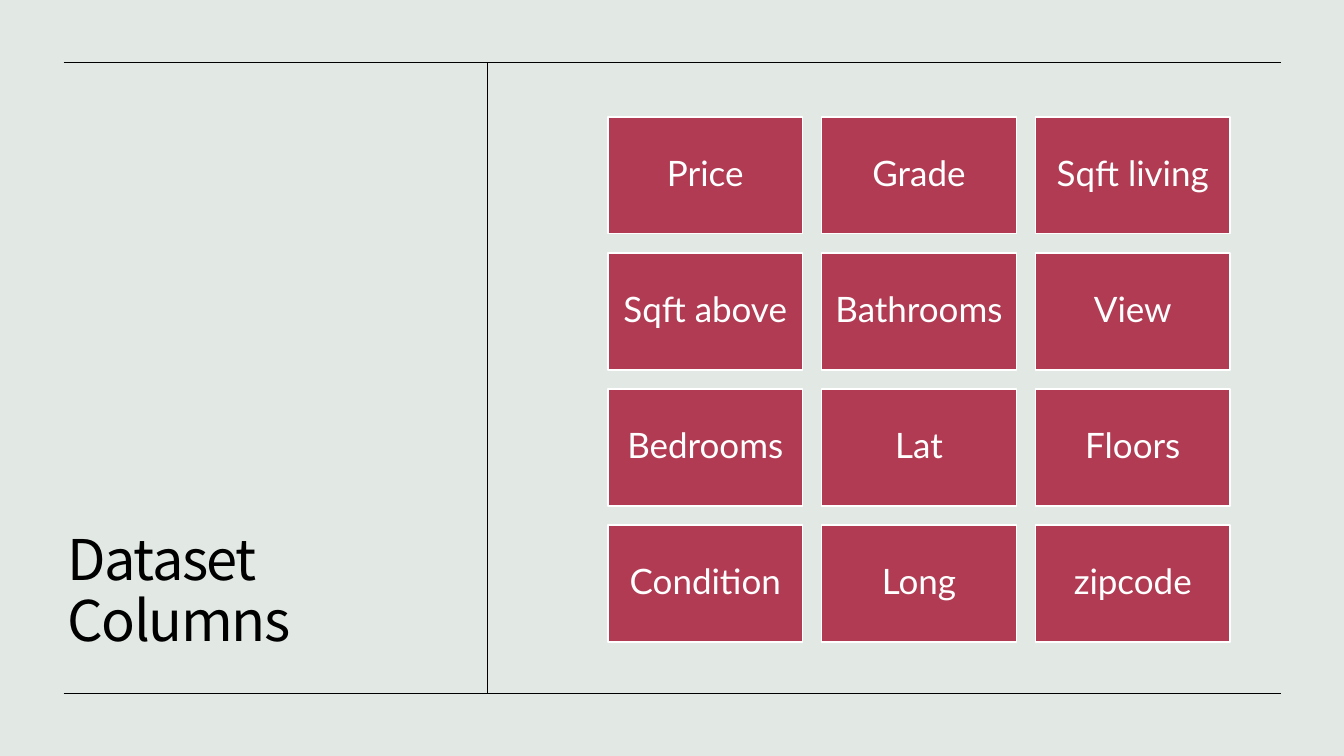
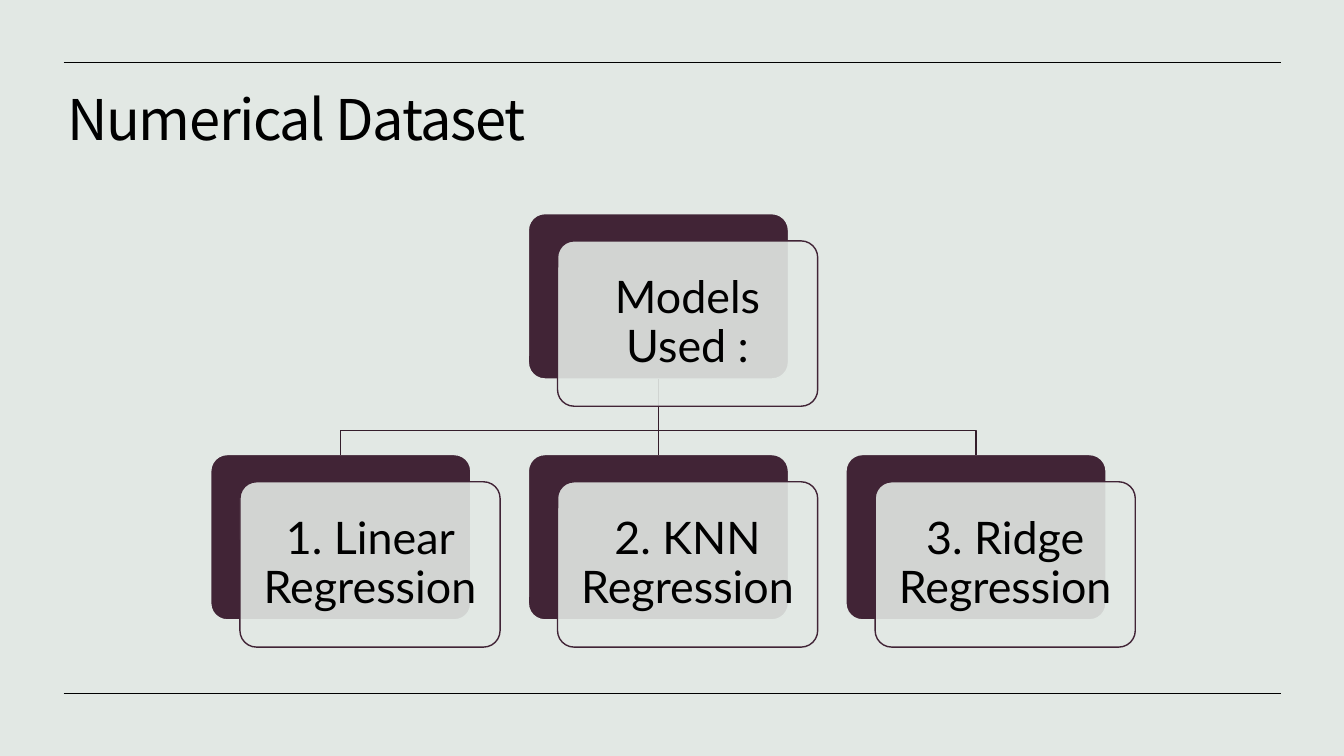
import dataclasses
import typing

import lxml.etree
import pptx
import pptx.dml.color
import pptx.enum.shapes
import pptx.enum.text
import pptx.oxml.ns
import pptx.util

Inches = pptx.util.Inches
Pt = pptx.util.Pt
Shapes = pptx.enum.shapes.MSO_SHAPE
Anchor = pptx.enum.text.MSO_ANCHOR
Align = pptx.enum.text.PP_ALIGN
qn = pptx.oxml.ns.qn


@dataclasses.dataclass(frozen=True)
class Theme:
    background: str = "E2E8E4"
    ink: str = "000000"
    white: str = "FFFFFF"
    tile: str = "B13B53"
    card: str = "412436"
    branch: str = "341D2B"
    title_font: str = "Noto Sans CJK KR"
    body_font: str = "Lato"
    title_size: float = 40
    tile_size: float = 25
    card_size: float = 32
    rule_width: float = 0.5
    outline_width: float = 1
    left: float = 0.63
    right: float = 12.71
    top: float = 0.62
    bottom: float = 6.88


class Box(typing.NamedTuple):
    left: float
    top: float
    width: float
    height: float

    def shifted(self, across: float, down: float) -> "Box":
        return Box(self.left + across, self.top + down, self.width, self.height)

    def lengths(self) -> list:
        return [Inches(value) for value in self]


class TextStyle(typing.NamedTuple):
    font: str
    size: float
    color: str
    anchor: int
    align: int
    inset: float = 0.1
    spacing: float = 0


class BoxStyle(typing.NamedTuple):
    preset: int
    fill: str
    line: str
    opacity: int = 100


class Model(typing.NamedTuple):
    label: str
    box: Box


THEME = Theme()
TITLE_LOW = TextStyle(THEME.title_font, THEME.title_size, THEME.ink,
                      Anchor.BOTTOM, Align.LEFT, spacing=-1)
TITLE_HIGH = TITLE_LOW._replace(anchor=Anchor.TOP)
TILE_TEXT = TextStyle(THEME.body_font, THEME.tile_size, THEME.white,
                      Anchor.MIDDLE, Align.CENTER)
CARD_TEXT = TextStyle(THEME.body_font, THEME.card_size, THEME.ink,
                      Anchor.MIDDLE, Align.CENTER, inset=0.18)
TILE = BoxStyle(Shapes.RECTANGLE, THEME.tile, THEME.white)
CARD_BACK = BoxStyle(Shapes.ROUNDED_RECTANGLE, THEME.card, THEME.background)
CARD_FRONT = BoxStyle(Shapes.ROUNDED_RECTANGLE, THEME.background, THEME.card, 90)

COLUMNS = (
    ("Price", "Grade", "Sqft living"),
    ("Sqft above", "Bathrooms", "View"),
    ("Bedrooms", "Lat", "Floors"),
    ("Condition", "Long", "zipcode"),
)
FIRST_TILE = Box(6.03, 1.16, 1.93, 1.16)
TILE_PITCH = (2.12, 1.35)

ROOT = Model("Models Used :", Box(5.24, 2.12, 2.58, 1.64))
FIRST_CARD = Box(2.09, 4.51, 2.58, 1.64)
CARD_PITCH = 3.15
FRONT_OFFSET = (0.29, 0.27)
BRANCH_HEIGHT = 4.27
MODELS = [
    Model(label, FIRST_CARD.shifted(index * CARD_PITCH, 0))
    for index, label in enumerate(
        ("1. Linear Regression", "2. KNN Regression", "3. Ridge Regression"))
]


def rgb(color: str) -> pptx.dml.color.RGBColor:
    return pptx.dml.color.RGBColor.from_string(color)


def apply_format(target, values: dict) -> None:
    for name, value in values.items():
        setattr(target, name, value)


def format_line(line, color: str, width: float) -> None:
    line.color.rgb = rgb(color)
    line.width = Pt(width)


def write_text(shape, text: str, style: TextStyle) -> None:
    frame = shape.text_frame
    margins = ("margin_left", "margin_right")
    if style.inset != 0.1 or style.anchor == Anchor.MIDDLE:
        margins += ("margin_top", "margin_bottom")
    apply_format(frame, {
        "word_wrap": True,
        "vertical_anchor": style.anchor,
        **dict.fromkeys(margins, Inches(style.inset)),
    })
    paragraph = frame.paragraphs[0]
    apply_format(paragraph, {"alignment": style.align, "line_spacing": 0.9})
    run = paragraph.add_run()
    run.text = text
    apply_format(run.font, {"name": style.font, "size": Pt(style.size)})
    run.font.color.rgb = rgb(style.color)
    if style.spacing:
        run._r.get_or_add_rPr().set("spc", str(int(style.spacing * 100)))


def add_title(slide, text: str, box: Box, style: TextStyle) -> None:
    write_text(slide.shapes.add_textbox(*box.lengths()), text, style)


def add_box(slide, box: Box, style: BoxStyle):
    shape = slide.shapes.add_shape(style.preset, *box.lengths())
    shape.shadow.inherit = False
    shape.fill.solid()
    shape.fill.fore_color.rgb = rgb(style.fill)
    format_line(shape.line, style.line, THEME.outline_width)
    if style.preset == Shapes.ROUNDED_RECTANGLE:
        shape.adjustments[0] = 0.1
    if style.opacity < 100:
        color = shape._element.spPr.find(qn("a:solidFill")).find(qn("a:srgbClr"))
        alpha = lxml.etree.SubElement(color, qn("a:alpha"))
        alpha.set("val", str(style.opacity * 1000))
    return shape


def add_line(slide, start: tuple, end: tuple, color: str, width: float):
    connector = slide.shapes.add_connector(
        pptx.enum.shapes.MSO_CONNECTOR.STRAIGHT,
        *(Inches(value) for value in start + end))
    format_line(connector.line, color, width)
    lxml.etree.SubElement(connector._element.spPr, qn("a:effectLst"))
    return connector


def add_rule(slide, start: tuple, end: tuple) -> None:
    add_line(slide, start, end, THEME.ink, THEME.rule_width)


def add_branch(slide, parent: Box, child: Box) -> None:
    start = parent.left + parent.width / 2
    end = child.left + child.width / 2
    points = [(start, BRANCH_HEIGHT), (end, BRANCH_HEIGHT), (end, child.top)]
    builder = slide.shapes.build_freeform(
        Inches(start), Inches(parent.top + parent.height))
    builder.add_line_segments(
        [(Inches(across), Inches(down)) for across, down in points], close=False)
    shape = builder.convert_to_shape()
    shape.shadow.inherit = False
    shape.fill.background()
    format_line(shape.line, THEME.branch, THEME.outline_width)


def add_slide(presentation):
    slide = presentation.slides.add_slide(presentation.slide_layouts[6])
    slide.background.fill.solid()
    slide.background.fill.fore_color.rgb = rgb(THEME.background)
    for height in (THEME.top, THEME.bottom):
        add_rule(slide, (THEME.left, height), (THEME.right, height))
    return slide


def build_columns_slide(presentation) -> None:
    slide = add_slide(presentation)
    add_title(slide, "Dataset Columns", Box(0.57, 0.99, 3.83, 5.54), TITLE_LOW)
    add_rule(slide, (4.83, THEME.top), (4.83, THEME.bottom))
    across, down = TILE_PITCH
    for row, labels in enumerate(COLUMNS):
        for column, label in enumerate(labels):
            box = FIRST_TILE.shifted(column * across, row * down)
            write_text(add_box(slide, box, TILE), label, TILE_TEXT)


def build_models_slide(presentation) -> None:
    slide = add_slide(presentation)
    add_title(slide, "Numerical Dataset", Box(0.57, 0.86, 12.15, 1.15), TITLE_HIGH)
    root_card = add_box(slide, ROOT.box, CARD_BACK)
    for model in MODELS:
        card = add_box(slide, model.box, CARD_BACK)
        if model.box.left == ROOT.box.left:
            connector = add_line(slide, (0, 0), (0, 0),
                                 THEME.branch, THEME.outline_width)
            connector.begin_connect(root_card, 2)
            connector.end_connect(card, 0)
        else:
            add_branch(slide, ROOT.box, model.box)
    for model in (ROOT, *MODELS):
        front = add_box(slide, model.box.shifted(*FRONT_OFFSET), CARD_FRONT)
        write_text(front, model.label, CARD_TEXT)


def main() -> None:
    presentation = pptx.Presentation()
    apply_format(presentation, {
        "slide_width": Inches(13.33),
        "slide_height": Inches(7.5),
    })
    build_columns_slide(presentation)
    build_models_slide(presentation)
    presentation.save("out.pptx")


if __name__ == "__main__":
    main()
